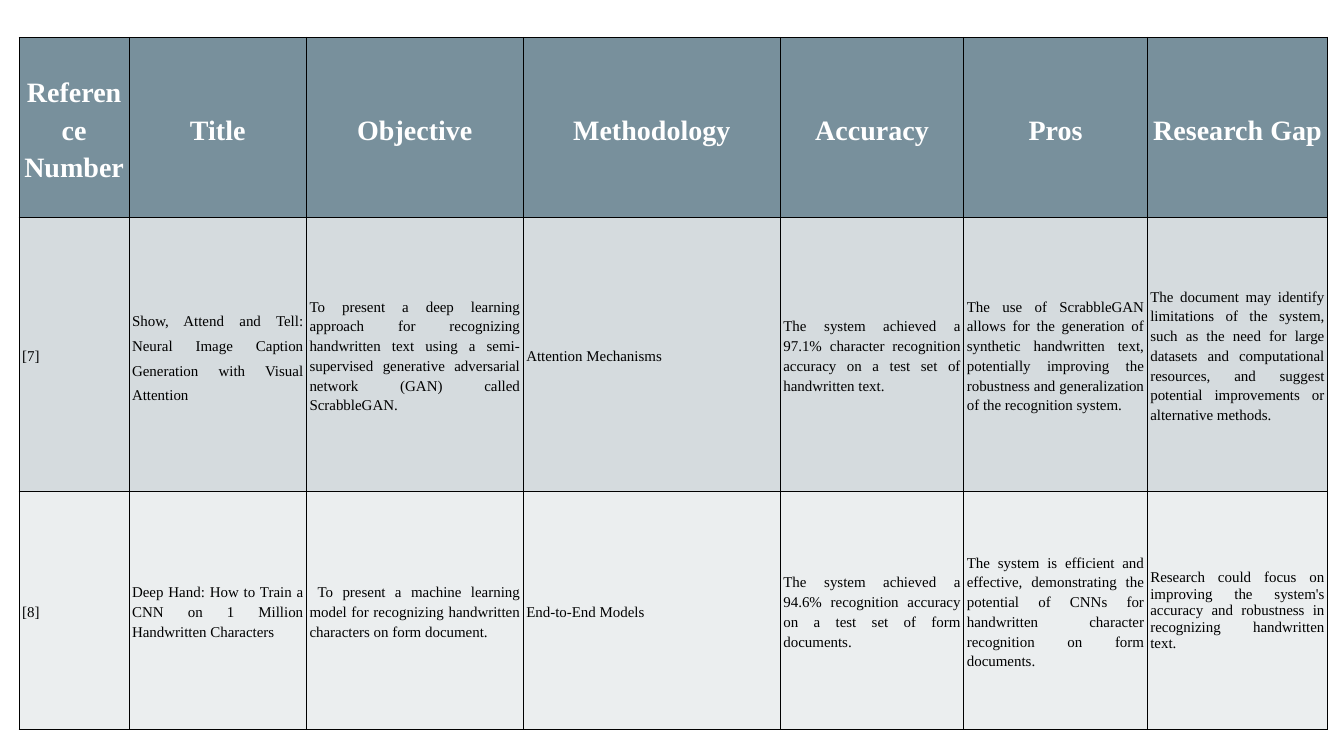
"""Build a slide with a literature comparison table."""
from dataclasses import dataclass

import lxml.etree
import pptx
import pptx.dml.color
import pptx.enum.text
import pptx.oxml.ns
import pptx.table
import pptx.util

RGBColor = pptx.dml.color.RGBColor
PP_ALIGN = pptx.enum.text.PP_ALIGN
qn = pptx.oxml.ns.qn

EMU_PER_PX = 9144
SLIDE_WIDTH, SLIDE_HEIGHT = 1333, 750
TABLE_LEFT, TABLE_TOP = 19, 37
CELL_MARGIN = 3
BORDER_WIDTH = pptx.util.Pt(0.75)
FONT_NAME = "Times New Roman"

BLACK = RGBColor(0x00, 0x00, 0x00)
WHITE = RGBColor(0xFF, 0xFF, 0xFF)
SLATE = RGBColor(0x78, 0x90, 0x9C)
MID_GREY = RGBColor(0xD5, 0xDB, 0xDE)
PALE_GREY = RGBColor(0xEB, 0xEE, 0xEF)


@dataclass(frozen=True)
class CellText:
    text: str
    line_spacing: float = 1.2
    indent: int = 0


@dataclass(frozen=True)
class RowStyle:
    fill: RGBColor
    color: RGBColor = BLACK
    size: float = 10.7
    bold: bool = False
    align: PP_ALIGN = PP_ALIGN.JUSTIFY


@dataclass(frozen=True)
class Row:
    height: int
    style: RowStyle
    cells: tuple[CellText, ...]


COLUMN_WIDTHS = (109, 176, 215, 255, 182, 182, 179)
HEADINGS = ("Reference Number", "Title", "Objective", "Methodology", "Accuracy", "Pros", "Research Gap")
ROWS = (
    Row(179, RowStyle(SLATE, WHITE, 20, True, PP_ALIGN.CENTER), tuple(CellText(h) for h in HEADINGS)),
    Row(272, RowStyle(MID_GREY), (
        CellText("[7]"),
        CellText("Show, Attend and Tell: Neural Image Caption Generation with Visual Attention", 1.5),
        CellText("To present a deep learning approach for recognizing handwritten text using a "
                 "semi-supervised generative adversarial network (GAN) called ScrabbleGAN."),
        CellText("Attention Mechanisms"),
        CellText("The system achieved a 97.1% character recognition accuracy on a test set of handwritten text."),
        CellText("The use of ScrabbleGAN allows for the generation of synthetic handwritten text, potentially "
                 "improving the robustness and generalization of the recognition system."),
        CellText("The document may identify limitations of the system, such as the need for large datasets and "
                 "computational resources, and suggest potential improvements or alternative methods."),
    )),
    Row(236, RowStyle(PALE_GREY), (
        CellText("[8]"),
        CellText("Deep Hand: How to Train a CNN on 1 Million Handwritten Characters"),
        CellText("To present a machine learning model for recognizing handwritten characters on form document.",
                 indent=8),
        CellText("End-to-End Models"),
        CellText("The system achieved a 94.6% recognition accuracy on a test set of form documents."),
        CellText("The system is efficient and effective, demonstrating the potential of CNNs for handwritten "
                 "character recognition on form documents."),
        CellText("Research could focus on improving the system's accuracy and robustness in recognizing "
                 "handwritten text.", 1.0),
    )),
)


def px(length: int) -> pptx.util.Emu:
    return pptx.util.Emu(length * EMU_PER_PX)


def add_borders(cell: pptx.table._Cell) -> None:
    tc_pr = cell._tc.get_or_add_tcPr()
    for side in ("a:lnL", "a:lnR", "a:lnT", "a:lnB"):
        ln = lxml.etree.SubElement(tc_pr, qn(side), w=str(BORDER_WIDTH))
        fill = lxml.etree.SubElement(ln, qn("a:solidFill"))
        lxml.etree.SubElement(fill, qn("a:srgbClr"), val=str(BLACK))


def fill_cell(cell: pptx.table._Cell, content: CellText, style: RowStyle) -> None:
    add_borders(cell)
    cell.fill.solid()
    cell.fill.fore_color.rgb = style.fill
    cell.vertical_anchor = pptx.enum.text.MSO_ANCHOR.MIDDLE
    cell.margin_left = cell.margin_right = px(CELL_MARGIN)
    cell.margin_top = cell.margin_bottom = px(CELL_MARGIN)
    p = cell.text_frame.paragraphs[0]
    p.text = content.text
    p.alignment = style.align
    p.line_spacing = content.line_spacing
    if content.indent:
        p._p.get_or_add_pPr().set("indent", str(px(content.indent)))
    font = p.runs[0].font
    font.name = FONT_NAME
    font.size = pptx.util.Pt(style.size)
    font.bold = style.bold
    font.color.rgb = style.color


def main() -> None:
    prs = pptx.Presentation()
    prs.slide_width, prs.slide_height = px(SLIDE_WIDTH), px(SLIDE_HEIGHT)
    s = prs.slides.add_slide(prs.slide_layouts[6])
    table = s.shapes.add_table(
        len(ROWS), len(COLUMN_WIDTHS), px(TABLE_LEFT), px(TABLE_TOP),
        px(sum(COLUMN_WIDTHS)), px(sum(row.height for row in ROWS)),
    ).table
    for column, width in zip(table.columns, COLUMN_WIDTHS):
        column.width = px(width)
    for table_row, row in zip(table.rows, ROWS):
        table_row.height = px(row.height)
        for cell, content in zip(table_row.cells, row.cells):
            fill_cell(cell, content, row.style)
    prs.save("out.pptx")


if __name__ == "__main__":
    main()
